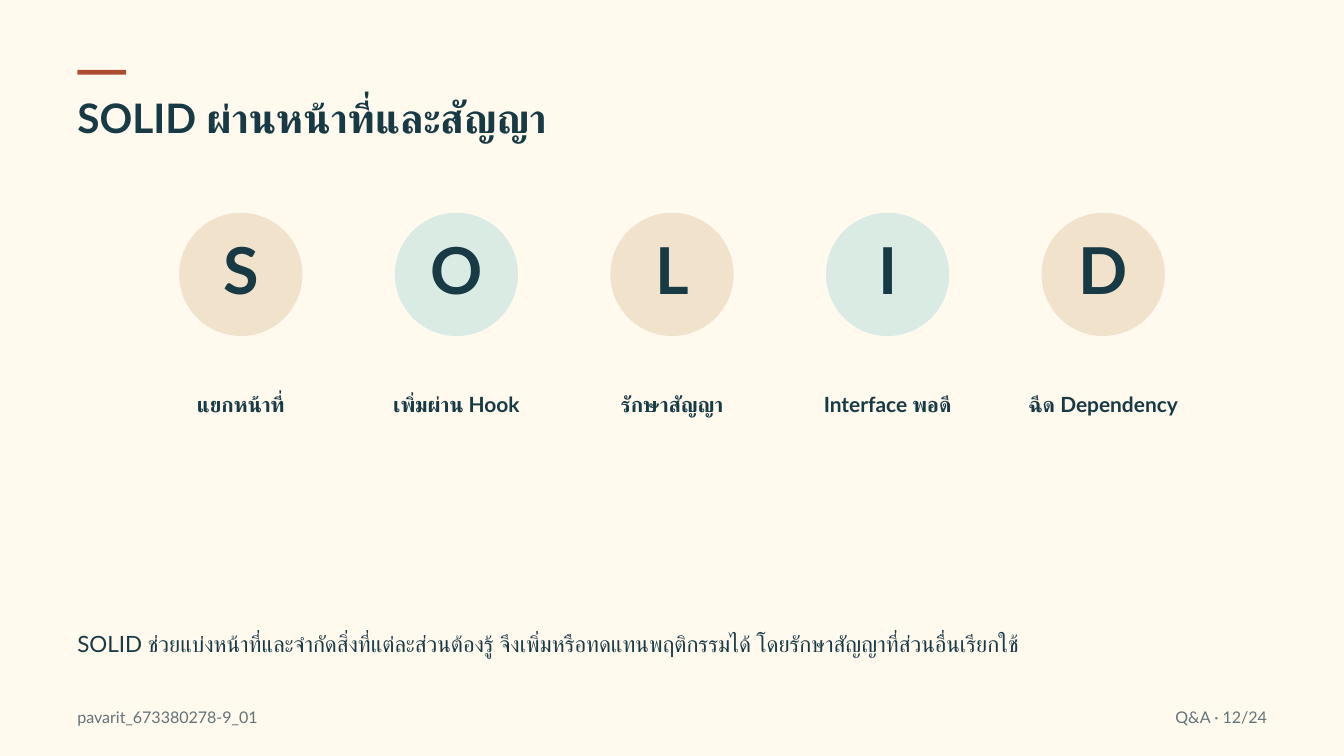
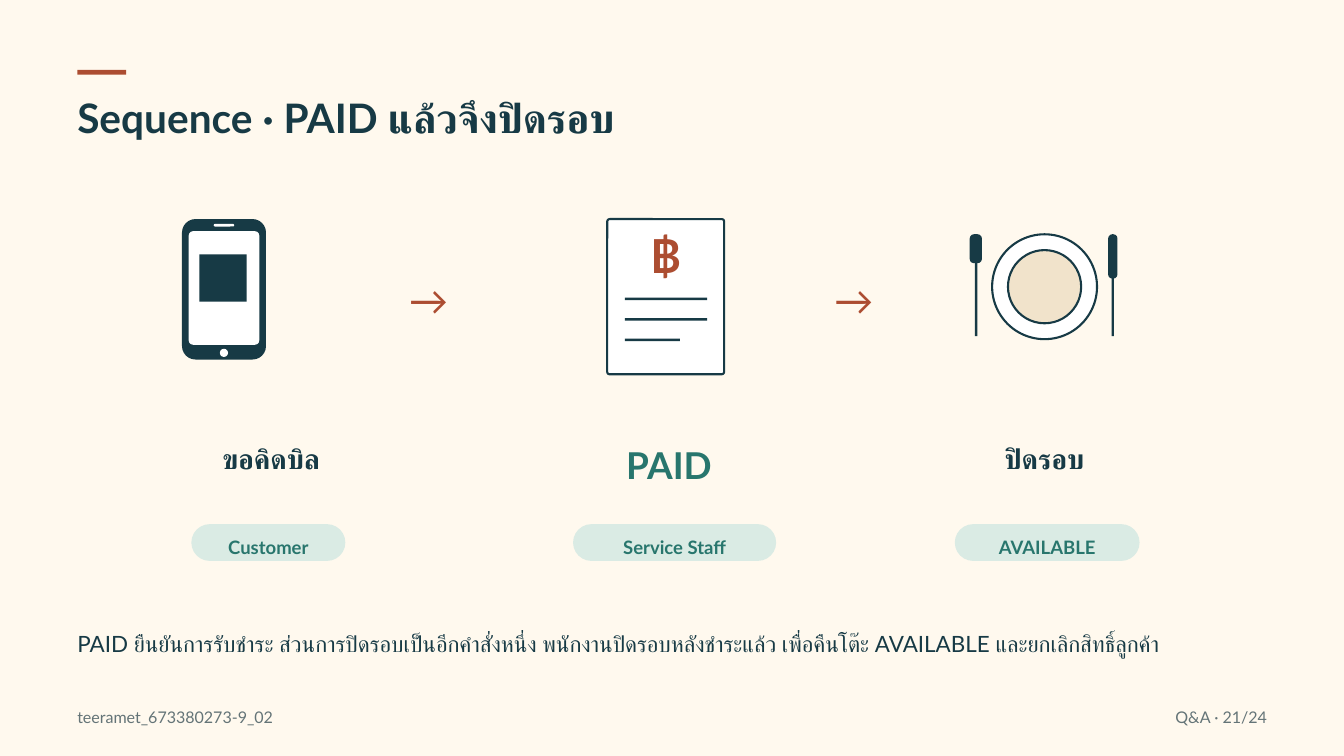
from lxml import etree
from pptx import Presentation
from pptx.dml.color import RGBColor
from pptx.enum import shapes, text
from pptx.oxml import ns
from pptx.util import Pt

FONT = "Lato"
CREAM, NAVY, RUST, GREEN = "FFF9EE", "173A45", "AC4D31", "28766D"
SAND, MINT, WHITE, GREY = "F1E3CB", "DAEBE4", "FFFFFF", "647477"
LEFT = 82.8
SHAPE, ALIGN = shapes.MSO_SHAPE, text.PP_ALIGN


def rgb(hex_code):
    return RGBColor.from_string(hex_code)


def write(tf, content, size, color, spacing, bold=False, align=ALIGN.LEFT):
    """Put one formatted line of text into a frame without margins."""
    tf.word_wrap = True
    tf.auto_size = text.MSO_AUTO_SIZE.NONE
    tf.margin_left = tf.margin_top = tf.margin_right = tf.margin_bottom = 0
    tf.vertical_anchor = text.MSO_ANCHOR.TOP
    p = tf.paragraphs[0]
    p.alignment = align
    p.line_spacing = Pt(spacing)
    r = p.add_run()
    r.text = content
    r.font.size, r.font.bold, r.font.name = Pt(size), bold, FONT
    r.font.color.rgb = rgb(color)
    for tag in ("a:ea", "a:cs"):  # Thai takes its font from the complex script
        etree.SubElement(r.font._element, ns.qn(tag)).set("typeface", FONT)


def add_text(s, x, y, w, h, *args, **style):
    box = s.shapes.add_textbox(Pt(x), Pt(y), Pt(w), Pt(h))
    write(box.text_frame, *args, **style)


def add_shape(s, kind, x, y, w, h, fill, line=None, radius=None):
    sp = s.shapes.add_shape(kind, Pt(x), Pt(y), Pt(w), Pt(h))
    sp.shadow.inherit = False
    sp.fill.solid()
    sp.fill.fore_color.rgb = rgb(fill)
    if line:
        sp.line.color.rgb = rgb(line)
        sp.line.width = Pt(2.25)
    else:
        sp.line.fill.background()
    if radius is not None:
        sp.adjustments[0] = min(radius / min(w, h), 0.5)
    return sp


def add_slide(prs, title, note, author, page):
    """Add a slide with the shared accent bar, title, note and footer."""
    s = prs.slides.add_slide(prs.slide_layouts.get_by_name("Title Only"))
    add_shape(s, SHAPE.RECTANGLE, LEFT, 74.9, 52.5, 5.2, RUST)
    head = s.shapes.title
    head.left, head.top, head.width, head.height = Pt(LEFT), Pt(93), Pt(1282), Pt(62.6)
    write(head.text_frame, title, 43.5, NAVY, 58.3, bold=True)
    add_text(s, LEFT, 671.8, 1275, 67, note, 24, NAVY, 32.2)
    add_text(s, LEFT, 756, 937.4, 24.5, author, 17.2, GREY, 23.1)
    add_text(s, 1102.5, 756, 255, 24.5, f"Q&A · {page}/24", 17.2, GREY, 23.1,
             align=ALIGN.RIGHT)
    return s


def add_principle(s, x, y, letter, meaning, fill):
    size, label_w = 132, 217.4
    add_shape(s, SHAPE.OVAL, x, y, size, size, fill)
    add_text(s, x + 10, y + 8, size - 20, 99.4, letter, 69.3, NAVY, 92.9,
             bold=True, align=ALIGN.CENTER)
    add_text(s, x + (size - label_w) / 2, y + 188, label_w, 33, meaning, 22.4, NAVY,
             30.1, bold=True, align=ALIGN.CENTER)


def add_phone(s, x, y):
    rounded = SHAPE.ROUNDED_RECTANGLE
    add_shape(s, rounded, x, y, 90, 150.5, NAVY, radius=14.4)
    add_shape(s, rounded, x + 7.2, y + 13, 75.6, 121.7, WHITE, radius=4.7)
    add_shape(s, rounded, x + 34, y + 5.2, 22, 2.8, WHITE, radius=1.4)
    add_shape(s, SHAPE.OVAL, x + 40.6, y + 139, 8.8, 8.8, WHITE)
    add_shape(s, SHAPE.RECTANGLE, x + 18.7, y + 38, 50.5, 50.5, NAVY)


def add_bill(s, x, y):
    add_shape(s, SHAPE.ROUNDED_RECTANGLE, x, y, 125.3, 166.3, WHITE, NAVY, 2.6)
    add_text(s, x + 31.2, y + 1.4, 62.6, 73.4, "฿", 50.2, RUST, 67.2,
             bold=True, align=ALIGN.CENTER)
    for i, w in enumerate((88, 88, 59)):
        add_shape(s, SHAPE.RECTANGLE, x + 19, y + 84.2 + 22 * i, w, 2.6, NAVY)


def add_place_setting(s, x, y):
    add_shape(s, SHAPE.OVAL, x + 24, y, 112.4, 112.4, WHITE, NAVY)
    add_shape(s, SHAPE.OVAL, x + 41, y + 17, 78.4, 78.4, SAND, NAVY)
    for handle_x, head_x, head_w, head_h in ((5.6, 0, 13, 31), (152, 148.3, 10, 47.5)):
        add_shape(s, SHAPE.RECTANGLE, x + handle_x, y + 2, 2.6, 107.3, NAVY)
        add_shape(s, SHAPE.ROUNDED_RECTANGLE, x + head_x, y, head_w, head_h, NAVY,
                  radius=4.5)


def add_arrow(s, x, y, w):
    add_text(s, x, y, w, 61, "→", 42.2, RUST, 56.6, align=ALIGN.CENTER)


def add_pill(s, x, y, w, label):
    sp = add_shape(s, SHAPE.ROUNDED_RECTANGLE, x, y, w, 39.4, MINT, radius=19.7)
    write(sp.text_frame, label, 19.8, GREEN, 26.5, bold=True, align=ALIGN.CENTER)
    sp.text_frame.margin_top = Pt(4.3)


def build_solid(prs):
    s = add_slide(
        prs, "SOLID ผ่านหน้าที่และสัญญา",
        "SOLID ช่วยแบ่งหน้าที่และจำกัดสิ่งที่แต่ละส่วนต้องรู้ จึงเพิ่มหรือทดแทนพฤติกรรมได้ "
        "โดยรักษาสัญญาที่ส่วนอื่นเรียกใช้",
        "pavarit_673380278-9_01", 12)
    meanings = ("แยกหน้าที่", "เพิ่มผ่าน Hook", "รักษาสัญญา", "Interface พอดี",
                "ฉีด Dependency")
    for i, (letter, meaning) in enumerate(zip("SOLID", meanings)):
        add_principle(s, 192 + 231 * i, 228, letter, meaning, MINT if i % 2 else SAND)


def build_sequence(prs):
    s = add_slide(
        prs, "Sequence · PAID แล้วจึงปิดรอบ",
        "PAID ยืนยันการรับชำระ ส่วนการปิดรอบเป็นอีกคำสั่งหนึ่ง พนักงานปิดรอบหลังชำระแล้ว "
        "เพื่อคืนโต๊ะ AVAILABLE และยกเลิกสิทธิ์ลูกค้า",
        "teeramet_673380273-9_02", 21)
    add_phone(s, 195, 234.7)
    add_bill(s, 650.6, 234.7)
    add_place_setting(s, 1039, 251)
    add_arrow(s, 370, 289.4, 178.6)
    add_arrow(s, 838.8, 289.4, 152)
    steps = (
        (152, "ขอคิดบิล", 29.7, NAVY, 39.8, 165, "Customer"),
        (578.3, "PAID", 39.6, GREEN, 53.1, 217.6, "Service Staff"),
        (980.6, "ปิดรอบ", 29.7, NAVY, 39.8, 198, "AVAILABLE"),
    )
    for i, (x, name, size, color, spacing, pill_w, pill) in enumerate(steps):
        add_text(s, x, 469, 277, spacing + 3, name, size, color, spacing,
                 bold=True, align=ALIGN.CENTER)
        add_pill(s, 205 + 409 * i, 561.6, pill_w, pill)


def main():
    prs = Presentation()
    prs.slide_width, prs.slide_height = Pt(1440), Pt(810)
    fill = prs.slide_master.background.fill
    fill.solid()
    fill.fore_color.rgb = rgb(CREAM)
    build_solid(prs)
    build_sequence(prs)
    prs.save("out.pptx")


if __name__ == "__main__":
    main()
